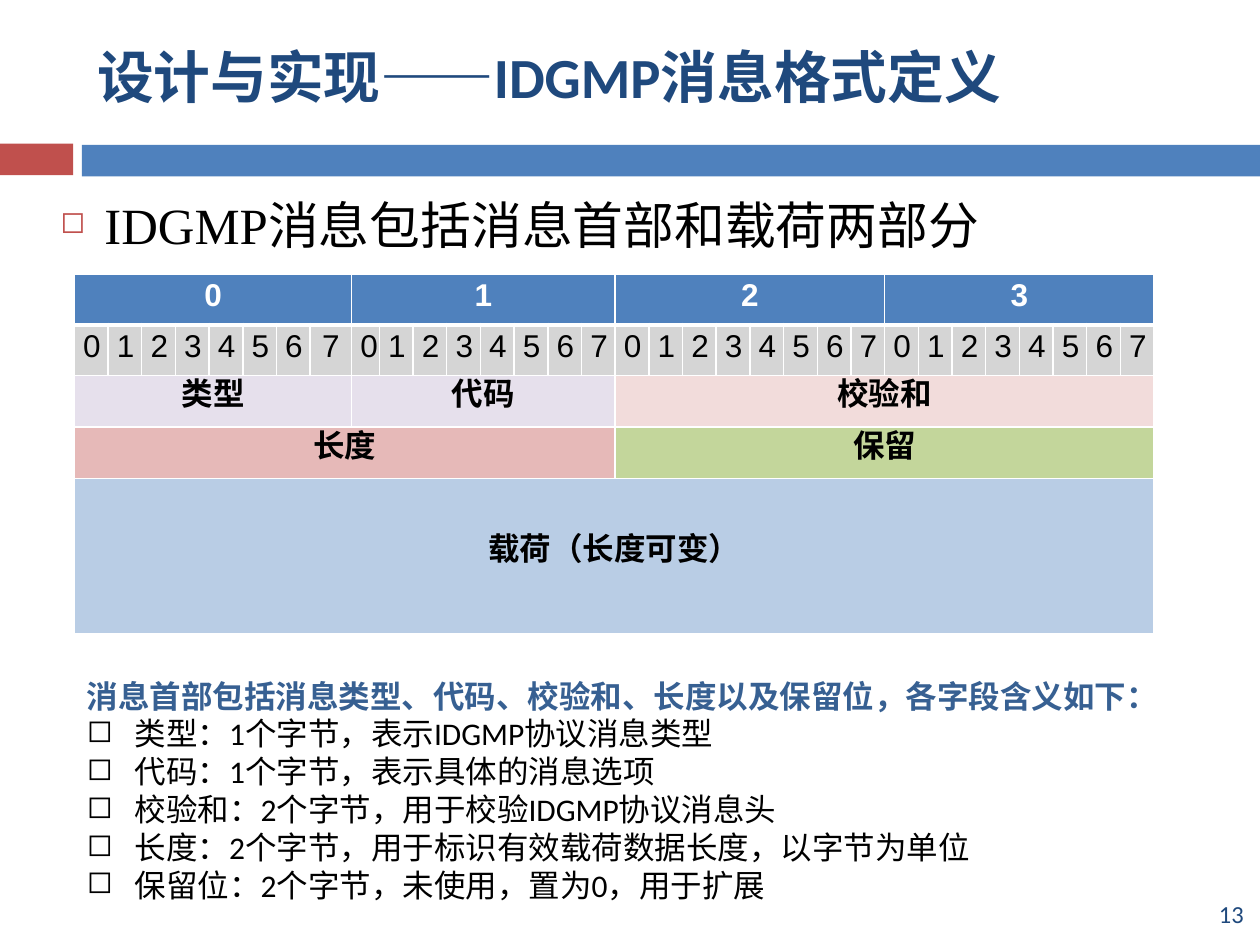
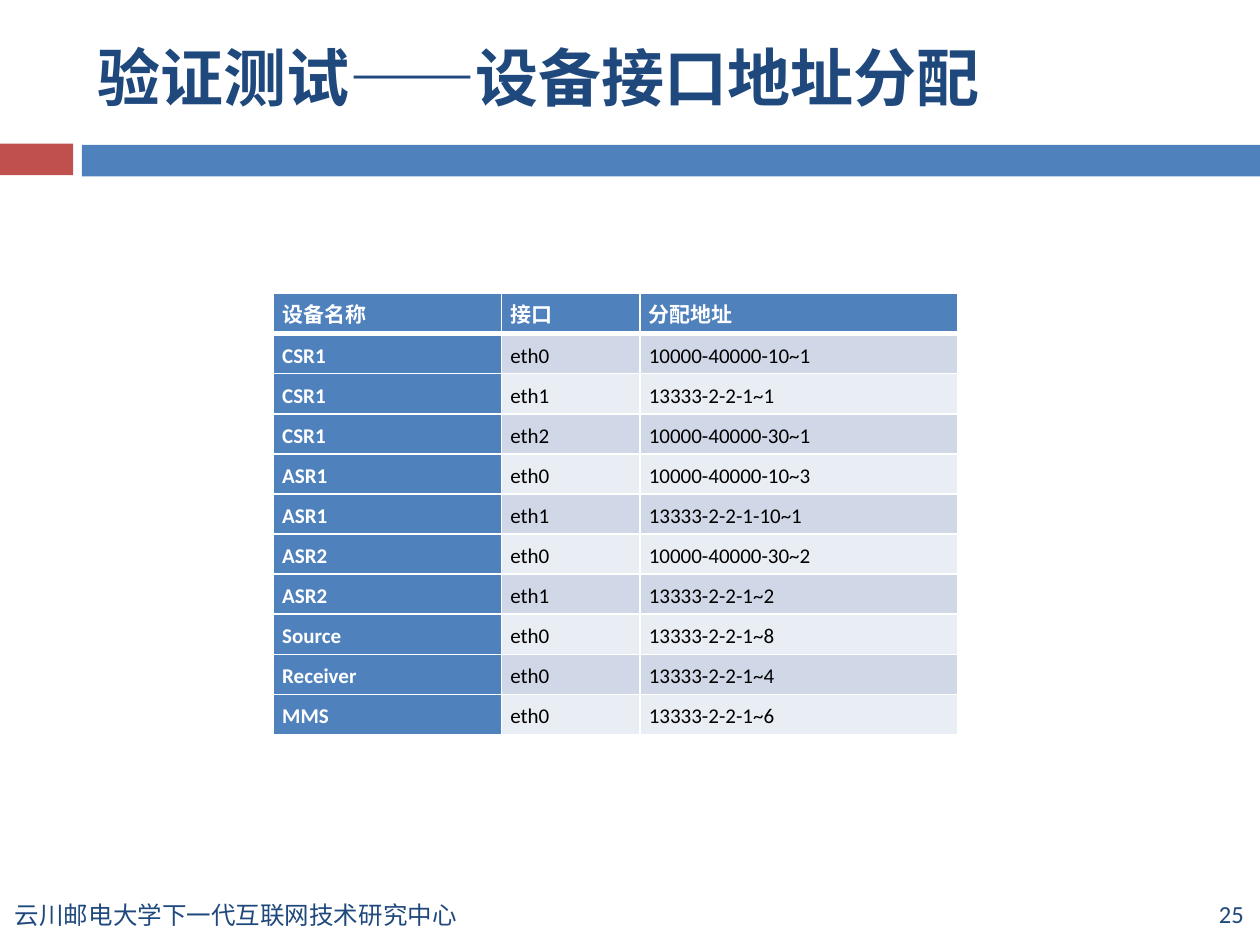
import lxml.etree
import pptx
import pptx.dml.color
import pptx.enum.shapes
import pptx.enum.text
import pptx.oxml.ns
import pptx.util

Inches = pptx.util.Inches
Pt = pptx.util.Pt
qn = pptx.oxml.ns.qn
ALIGN = pptx.enum.text.PP_ALIGN
MIDDLE = pptx.enum.text.MSO_ANCHOR.MIDDLE
TOP = pptx.enum.text.MSO_ANCHOR.TOP

COLORS = {
    "navy": "1F497D", "blue": "4F81BD", "red": "C0504D", "steel": "376092",
    "black": "000000", "white": "FFFFFF", "grey": "D5D5D5",
    "lilac": "E6E0EC", "blush": "F2DCDB", "rose": "E6B9B8",
    "green": "C3D69B", "sky": "B9CDE5", "dark": "D0D8E8", "light": "E9EDF4",
}

FONTS = {
    "title": {"name": "Calibri", "size": Pt(36), "bold": True},
    "foot": {"name": "Calibri", "size": Pt(14), "bold": False},
    "lead": {"name": "Times New Roman", "size": Pt(29), "bold": False},
    "head": {"name": "Calibri", "size": Pt(18), "bold": True},
    "item": {"name": "Calibri", "size": Pt(18), "bold": False},
    "bit": {"name": "Arial", "size": Pt(18), "bold": False},
    "field": {"name": "Arial", "size": Pt(18), "bold": True},
    "cell": {"name": "Calibri", "size": Pt(12), "bold": False},
    "label": {"name": "Calibri", "size": Pt(12), "bold": True},
}

BIT_FORM = {"alignment": ALIGN.CENTER, "line_spacing": Pt(15.5)}
ROW_FORM = {"alignment": ALIGN.JUSTIFY, "line_spacing": Pt(20)}

FIELDS = [
    [("类型", 8, "lilac"), ("代码", 8, "lilac"), ("校验和", 16, "blush")],
    [("长度", 16, "rose"), ("保留", 16, "green")],
    [("载荷（长度可变）", 32, "sky")],
]

NOTES = [
    "类型：1个字节，表示IDGMP协议消息类型",
    "代码：1个字节，表示具体的消息选项",
    "校验和：2个字节，用于校验IDGMP协议消息头",
    "长度：2个字节，用于标识有效载荷数据长度，以字节为单位",
    "保留位：2个字节，未使用，置为0，用于扩展",
]

PORTS = [
    ("设备名称", "接口", "分配地址"),
    ("CSR1", "eth0", "10000-40000-10~1"),
    ("CSR1", "eth1", "13333-2-2-1~1"),
    ("CSR1", "eth2", "10000-40000-30~1"),
    ("ASR1", "eth0", "10000-40000-10~3"),
    ("ASR1", "eth1", "13333-2-2-1-10~1"),
    ("ASR2", "eth0", "10000-40000-30~2"),
    ("ASR2", "eth1", "13333-2-2-1~2"),
    ("Source", "eth0", "13333-2-2-1~8"),
    ("Receiver", "eth0", "13333-2-2-1~4"),
    ("MMS", "eth0", "13333-2-2-1~6"),
]


def apply(target, values):
    for name, value in values.items():
        setattr(target, name, value)


def rgb(color):
    return pptx.dml.color.RGBColor.from_string(COLORS[color])


def paint(shape, color):
    shape.fill.solid()
    shape.fill.fore_color.rgb = rgb(color)


def write(para, text, font, color, form=None):
    run = para.add_run()
    run.text = text
    apply(run.font, FONTS[font])
    run.font.color.rgb = rgb(color)
    apply(para, form or {})


def add_bullet(para, indent, color=None, scale=None):
    """Give the paragraph a square bullet with a hanging indent."""
    props = para._p.get_or_add_pPr()
    props.set("marL", str(Inches(indent)))
    props.set("indent", str(-Inches(indent)))
    if color:
        tint = lxml.etree.SubElement(props, qn("a:buClr"))
        lxml.etree.SubElement(tint, qn("a:srgbClr"), val=COLORS[color])
    if scale:
        lxml.etree.SubElement(props, qn("a:buSzPct"), val=str(scale * 1000))
    lxml.etree.SubElement(props, qn("a:buChar"), char="◻")


def add_box(slide, place, anchor=TOP):
    box = slide.shapes.add_textbox(*map(Inches, place))
    apply(box.text_frame, {"word_wrap": True, "vertical_anchor": anchor})
    return box.text_frame


def add_band(slide, place, color):
    kind = pptx.enum.shapes.MSO_SHAPE.RECTANGLE
    band = slide.shapes.add_shape(kind, *map(Inches, place))
    band.shadow.inherit = False
    band.line.fill.background()
    paint(band, color)


def add_page(deck, title, number, size=36):
    """Add a slide with its title, bands and page number."""
    slide = deck.slides.add_slide(deck.slide_layouts[5])
    head = slide.shapes.title
    apply(head, dict(zip(("left", "top", "width", "height"),
                         map(Inches, (0.67, 0.21, 7.88, 0.79)))))
    apply(head.text_frame, {"word_wrap": True, "vertical_anchor": MIDDLE})
    para = head.text_frame.paragraphs[0]
    write(para, title, "title", "navy", {"alignment": ALIGN.LEFT})
    para.runs[0].font.size = Pt(size)
    add_band(slide, (0, 1.14, 0.58, 0.25), "red")
    add_band(slide, (0.65, 1.15, 9.35, 0.25), "blue")
    page = add_box(slide, (7.05, 7.05, 2.92, 0.4), MIDDLE)
    write(page.paragraphs[0], number, "foot", "navy",
          {"alignment": ALIGN.RIGHT})
    return slide


def add_grid(slide, left, top, cols, rows):
    """Add a plain table with white rules, thick below its first row."""
    frame = slide.shapes.add_table(
        len(rows), len(cols), Inches(left), Inches(top),
        Inches(sum(cols)), Inches(sum(rows)))
    grid = frame.table
    apply(grid, {"first_row": False, "horz_banding": False})
    for col, width in zip(grid.columns, cols):
        col.width = Inches(width)
    for row, height in zip(grid.rows, rows):
        row.height = Inches(height)
    for y in range(len(rows)):
        for x in range(len(cols)):
            cell = grid.cell(y, x)
            apply(cell, {"margin_left": Inches(0.07), "margin_top": 0,
                         "margin_right": Inches(0.07), "margin_bottom": 0})
            rule(cell, 3 if y == 1 else 1, 3 if y == 0 else 1)
    return grid


def rule(cell, top, bottom):
    props = cell._tc.get_or_add_tcPr()
    for side, width in zip("LRTB", (1, 1, top, bottom)):
        line = lxml.etree.SubElement(props, qn("a:ln" + side),
                                     w=str(Pt(width)))
        fill = lxml.etree.SubElement(line, qn("a:solidFill"))
        lxml.etree.SubElement(fill, qn("a:srgbClr"), val=COLORS["white"])


def fill_cell(cell, text, back, font, color, form, anchor=TOP):
    paint(cell, back)
    cell.vertical_anchor = anchor
    write(cell.text_frame.paragraphs[0], text, font, color, form)


def fill_spans(grid, y, spans, color):
    """Fill a row with merged cells, given as (text, bits, fill)."""
    x = 0
    for text, bits, back in spans:
        cell = grid.cell(y, x)
        cell.merge(grid.cell(y, x + bits - 1))
        fill_cell(cell, text, back, "field", color, BIT_FORM, MIDDLE)
        x += bits


def add_format(deck):
    slide = add_page(deck, "设计与实现——IDGMP消息格式定义", "13", 32.4)
    lead = add_box(slide, (0.38, 1.49, 9.18, 0.68)).paragraphs[0]
    write(lead, "IDGMP消息包括消息首部和载荷两部分", "lead", "black",
          {"space_before": Pt(7)})
    add_bullet(lead, 0.35, "red", 60)

    wide, slim = 0.33, 0.22
    step = (8.58 - wide - slim) / 30
    cols = [step] * 7 + [wide, slim] + [step] * 23
    grid = add_grid(slide, 0.59, 2.18, cols, [0.4, 0.4, 0.41, 0.41, 1.23])
    fill_spans(grid, 0, [(str(i), 8, "blue") for i in range(4)], "white")
    for x in range(32):
        fill_cell(grid.cell(1, x), str(x % 8), "grey", "bit", "black",
                  BIT_FORM, MIDDLE)
    for y, spans in enumerate(FIELDS, 2):
        fill_spans(grid, y, spans, "black")

    notes = add_box(slide, (0.59, 5.02, 8.82, 2.52))
    write(notes.paragraphs[0],
          "消息首部包括消息类型、代码、校验和、长度以及保留位，各字段含义如下：",
          "head", "steel", {"line_spacing": 2.0})
    for note in NOTES:
        para = notes.add_paragraph()
        write(para, note, "item", "black")
        add_bullet(para, 0.38)


def add_ports(deck):
    slide = add_page(deck, "验证测试——设备接口地址分配", "25")
    foot = add_box(slide, (0.02, 7.06, 5.93, 0.4), MIDDLE)
    write(foot.paragraphs[0], "云川邮电大学下一代互联网技术研究中心",
          "foot", "navy")
    count = len(PORTS)
    grid = add_grid(slide, 2.17, 2.33, [1.81, 1.1, 2.52],
                    [3.5 / count] * count)
    for y, port in enumerate(PORTS):
        for x, text in enumerate(port):
            if x == 0 or y == 0:
                look = ("blue", "label", "white")
            else:
                look = ("dark" if y % 2 else "light", "cell", "black")
            fill_cell(grid.cell(y, x), text, *look, ROW_FORM)


def main():
    deck = pptx.Presentation()
    apply(deck, {"slide_width": Inches(10), "slide_height": Inches(7.5)})
    add_format(deck)
    add_ports(deck)
    deck.save("out.pptx")


if __name__ == "__main__":
    main()
